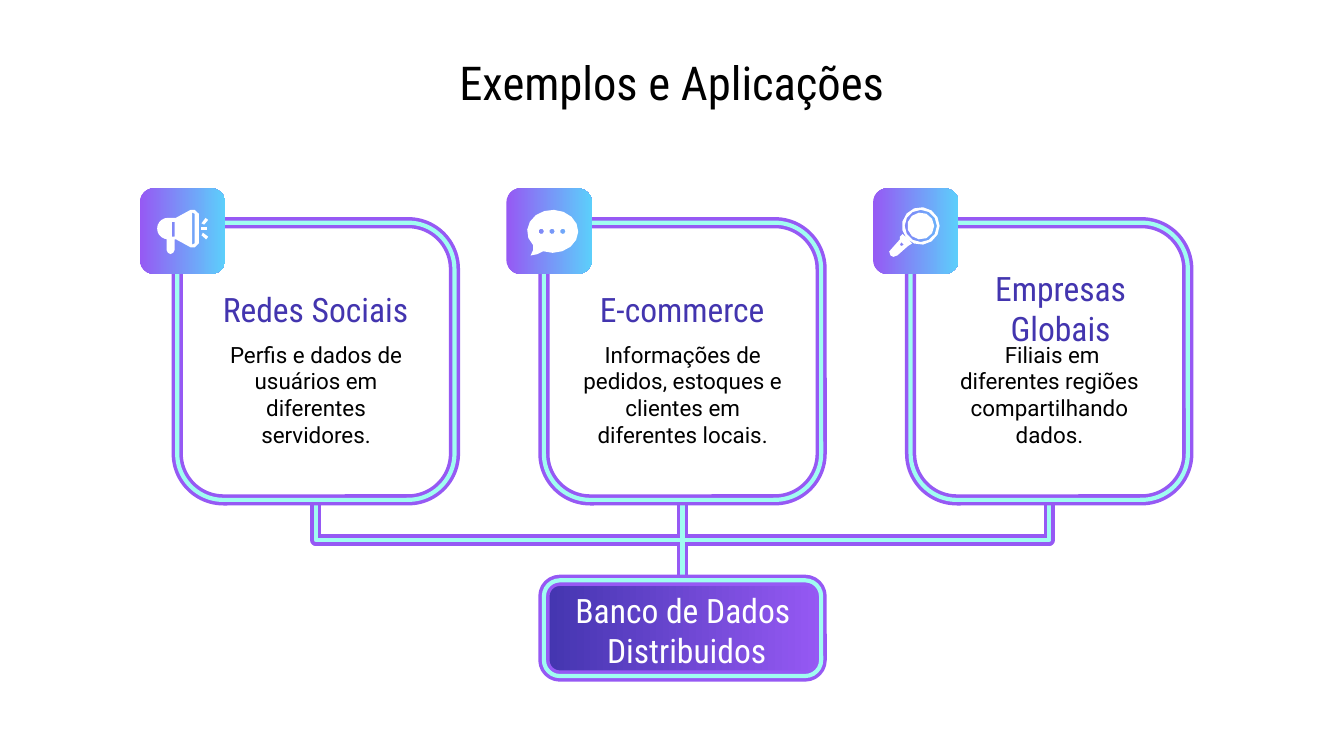
"""Build a slide of three uses of distributed databases, tied to one hub."""
from math import cos, radians, sin

from lxml.etree import SubElement
from pptx import Presentation
from pptx.dml.color import RGBColor
from pptx.enum.shapes import MSO_CONNECTOR, MSO_SHAPE
from pptx.enum.text import MSO_ANCHOR, PP_ALIGN
from pptx.oxml.ns import qn
from pptx.util import Cm, Pt

VIOLET, MINT, INDIGO, SKY = "9659F4", "A0FDF1", "4335AF", "5CCFFB"
WHITE, BLACK = "FFFFFF", "000000"
HEAD, BODY = "Roboto Condensed", "Roboto"
RIMS = [(VIOLET, 6), (MINT, 2.25)]
LEFT, TOP, SIDE, STEP, DROP = 3.35, 4.21, 5.24, 6.93, 1.52
BASE = TOP + SIDE
TILE, SHIFT, RISE = 1.62, 0.71, 3.56


def color(item, code):
    item.rgb = RGBColor.from_string(code)


def write(box, lines, font, size, code, anchor=MSO_ANCHOR.MIDDLE):
    frame = box.text_frame
    frame.text = "\n".join(lines)
    look = {"word_wrap": True, "vertical_anchor": anchor}
    for side in ("left", "right", "top", "bottom"):
        look["margin_" + side] = Cm(0.25)
    for name, value in look.items():
        setattr(frame, name, value)
    for para in frame.paragraphs:
        para.alignment = PP_ALIGN.CENTER
        for run in para.runs:
            for name, value in {"name": font, "size": Pt(size), "bold": False}.items():
                setattr(run.font, name, value)
            color(run.font.color, code)


deck = Presentation()
deck.slide_width, deck.slide_height = Cm(25.4), Cm(14.29)
slide = deck.slides.add_slide(deck.slide_layouts[5])
shapes = slide.shapes

title = shapes.title
spot = {"left": 1.43, "top": 0.84, "width": 22.53, "height": 1.42}
for name, value in spot.items():
    setattr(title, name, Cm(value))
write(title, ["Exemplos e Aplicações"], HEAD, 25, BLACK)

horn = [
    [[(21, 30, 8, 8, 90, 270), (27, 22), (38, 16), (41, 16), (44, 19), (44, 41),
      (41, 44), (38, 44), (27, 38), (26, 38), (26, 46), (25, 48), (23, 49),
      (21, 48), (20, 46), (20, 38)],
     [(24, 25), (26, 25), (26, 36), (24, 36)],
     [(39, 18), (41, 19), (41, 41), (39, 42)]],
    [[(46, 29), (50, 29), (50, 31), (46, 31)]],
    [[(46, 26), (49, 22), (51, 23.5), (48, 27)]],
    [[(47, 33), (51, 36), (49.5, 38), (46, 35)]],
]
talk = [(34.5, 32, 19, 16, 140, 472), (23, 49), (18, 50), (20, 46)]
chat = [[talk] + [[(x, 32, 2, 2, 0, 360)] for x in (26, 34, 42)]]
lens = [
    [[(35.5, 28, 14, 14, 0, 360)], [(35.5, 28, 12, 12, 0, 360)],
     [(22, 34), (29, 41), (26, 43), (18, 50), (15, 51), (13, 50), (12, 47),
      (20, 38), (20, 36)],
     [(21, 40), (23, 42), (21, 43), (20, 42)]],
    [[(35.5, 28, 10, 10, 0, 360)]],
]
cards = [
    ("Redes Sociais", "Perfis e dados de usuários em diferentes servidores.",
     horn, 0.47, 5.49, 4.29),
    ("E-commerce", "Informações de pedidos, estoques e clientes em diferentes locais.",
     chat, 0.47, 5.49, 4.29),
    ("Empresas Globais", " Filiais em diferentes regiões compartilhando dados.",
     lens, 0.42, 5.47, 4.83),
]

blocks = []
mid = LEFT + STEP + SIDE / 2
for edge, wide in RIMS:
    links = [shapes.add_connector(MSO_CONNECTOR.STRAIGHT, Cm(mid), Cm(BASE),
                                  Cm(mid), Cm(BASE + DROP))]
    for sign in (-1, 1):
        x, y = mid + sign * STEP / 2, BASE + DROP / 2
        dx, dy = sign * DROP / 2, STEP / 2
        link = shapes.add_connector(MSO_CONNECTOR.ELBOW, Cm(x - dx), Cm(y - dy),
                                    Cm(x + dx), Cm(y + dy))
        turn = (180 - 90 * sign) * 60000
        link.element.spPr.find(qn("a:xfrm")).set("rot", str(turn))
        links.append(link)
    for link in links:
        color(link.line.color, edge)
        link.line.width = Pt(wide)
        SubElement(link.element.spPr, qn("a:effectLst"))
    for i in range(len(cards)):
        blocks.append((LEFT + i * STEP, TOP, SIDE, SIDE, None, edge, wide))

for i in range(len(cards)):
    blocks.append((LEFT + i * STEP - SHIFT, RISE, TILE, TILE, (VIOLET, SKY), None, 0))
for (edge, wide), fill in zip(RIMS, [(INDIGO, VIOLET), None]):
    blocks.append((LEFT + STEP, BASE + DROP, SIDE, 1.81, fill, edge, wide))

for *place, fill, edge, wide in blocks:
    block = shapes.add_shape(MSO_SHAPE.ROUNDED_RECTANGLE, *map(Cm, place))
    block.shadow.inherit = False
    block.adjustments[0] = 0.167
    if fill:
        block.fill.gradient()
        block.fill.gradient_angle = 0
        for stop, code, where in zip(block.fill.gradient_stops, fill, (0, 1)):
            color(stop.color, code)
            stop.position = where
    else:
        block.fill.background()
    if edge:
        color(block.line.color, edge)
        block.line.width = Pt(wide)
    else:
        block.line.fill.background()

for i, (head, body, icon, inset, top, width) in enumerate(cards):
    left = LEFT + i * STEP
    box = shapes.add_textbox(Cm(left + inset), Cm(top), Cm(width), Cm(0.71))
    write(box, [head], HEAD, 18, INDIGO)
    box = shapes.add_textbox(Cm(left + 0.48), Cm(6.19), Cm(4.29), Cm(2.11))
    write(box, [body], BODY, 12, BLACK, MSO_ANCHOR.TOP)

    for piece in icon:
        pen = None
        for part in piece:
            dots = []
            for x, y, *arc in part:
                if arc:
                    rx, ry, start, end = arc
                    count = 6 + rx // 2
                    turns = [radians(start + (end - start) * n / count)
                             for n in range(count + 1)]
                    dots += [(x + rx * cos(a), y + ry * sin(a)) for a in turns]
                else:
                    dots.append((x, y))
            dots = [(Cm(left - SHIFT + x * 0.0254), Cm(RISE + y * 0.0254))
                    for x, y in dots]
            if pen:
                pen.move_to(*dots[0])
            else:
                pen = shapes.build_freeform(*dots[0])
            pen.add_line_segments(dots[1:], close=True)
        glyph = pen.convert_to_shape()
        glyph.shadow.inherit = False
        glyph.fill.solid()
        color(glyph.fill.fore_color, WHITE)
        glyph.line.fill.background()

box = shapes.add_textbox(Cm(10.39), Cm(11.56), Cm(5.18), Cm(0.71))
write(box, ["Banco de Dados ", "Distribuidos"], HEAD, 18, WHITE)

deck.save("out.pptx")
